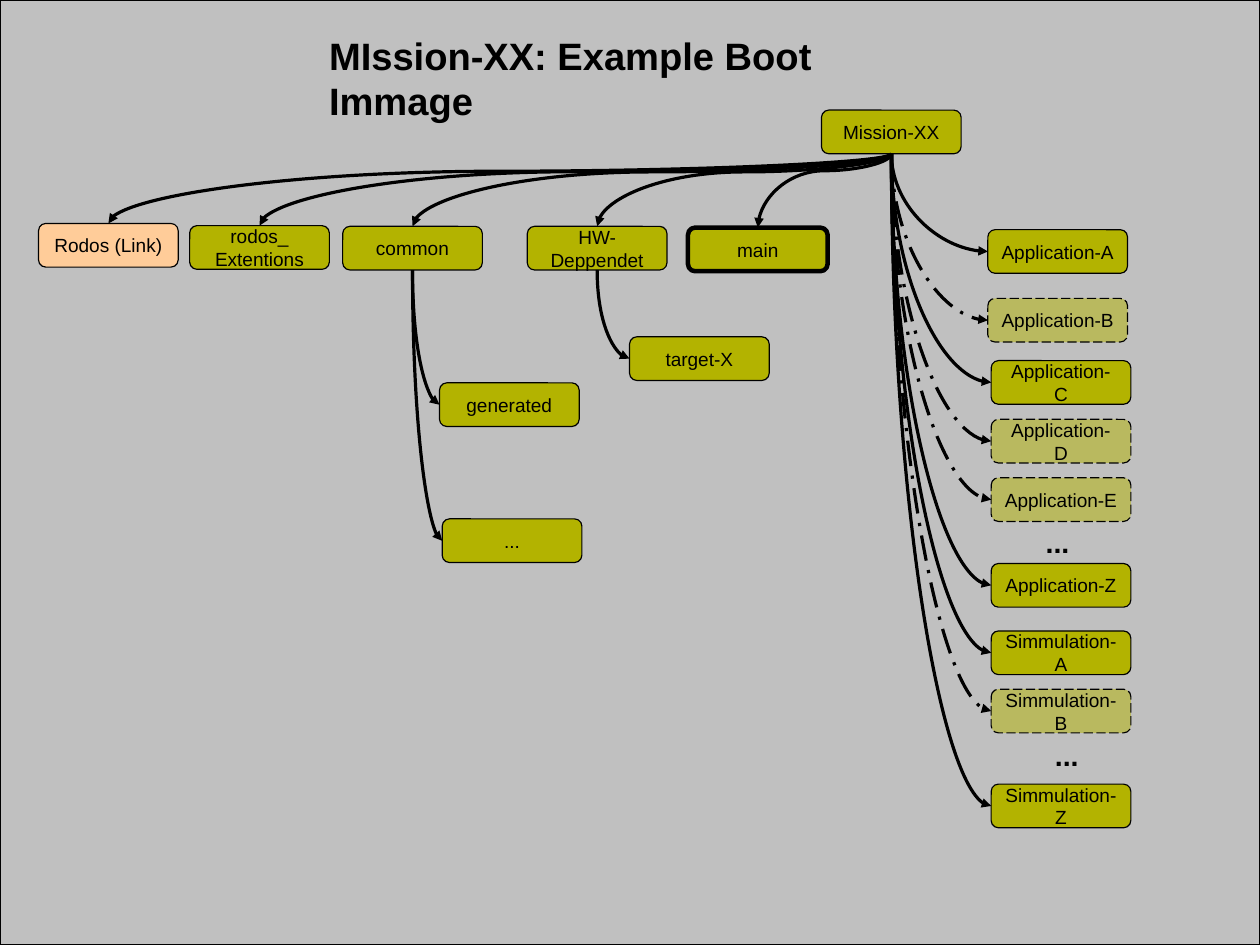
from dataclasses import dataclass
from typing import Optional

from lxml import etree
from pptx import Presentation
from pptx.dml.color import RGBColor
from pptx.enum.dml import MSO_LINE
from pptx.enum.shapes import MSO_CONNECTOR, MSO_SHAPE
from pptx.enum.text import MSO_ANCHOR, MSO_AUTO_SIZE, PP_ALIGN
from pptx.oxml.ns import qn
from pptx.util import Pt

RECTANGLE, ROUNDED = MSO_SHAPE.RECTANGLE, MSO_SHAPE.ROUNDED_RECTANGLE
CURVE = MSO_CONNECTOR.CURVE
BOX_DASH, LINK_DASH = MSO_LINE.LONG_DASH, MSO_LINE.LONG_DASH_DOT
MIDDLE, CENTER = MSO_ANCHOR.MIDDLE, PP_ALIGN.CENTER
FIT_SHAPE = MSO_AUTO_SIZE.SHAPE_TO_FIT_TEXT

BLACK = RGBColor(0x00, 0x00, 0x00)
GRAY = RGBColor(0xC0, 0xC0, 0xC0)
OLIVE = RGBColor(0xB3, 0xB3, 0x00)
PEACH = RGBColor(0xFF, 0xCC, 0x99)

FONT = "Arial"
SLIDE_W, SLIDE_H = 793.7, 595.3
BOX_W, BOX_H = 88, 27.5
INSET_X, INSET_Y = 7.2, 3.6


@dataclass(frozen=True)
class Node:
    left: float
    top: float
    label: str
    parent: Optional["Node"] = None
    from_above: bool = False
    optional: bool = False
    fill: RGBColor = OLIVE
    border: float = 0
    bend: float = 0.25

    @property
    def bottom_point(self) -> tuple[float, float]:
        return self.left + BOX_W / 2, self.top + BOX_H

    @property
    def entry_point(self) -> tuple[float, float]:
        if self.from_above:
            return self.left + BOX_W / 2, self.top
        return self.left, self.top + BOX_H / 2


@dataclass(frozen=True)
class Caption:
    left: float
    top: float
    width: float
    height: float
    words: str
    size: float


MISSION = Node(517.5, 69.4, "Mission-XX")
COMMON = Node(215.9, 142.6, "common", MISSION, from_above=True)
HARDWARE = Node(332.2, 142.6, "HW-Deppendet", MISSION, from_above=True)

NODES = [
    MISSION,
    Node(24.3, 140.8, "Rodos (Link)", MISSION, from_above=True, fill=PEACH),
    Node(119.5, 142.2, "rodos_\nExtentions", MISSION, from_above=True),
    COMMON,
    HARDWARE,
    Node(433.4, 143.4, "main", MISSION, from_above=True, border=2.83, bend=0.23),
    Node(276.9, 241.2, "generated", COMMON),
    Node(278.6, 326.9, "...", COMMON),
    Node(396.6, 212.2, "target-X", HARDWARE),
    Node(622.3, 144.7, "Application-A", MISSION),
    Node(622.3, 188, "Application-B", MISSION, optional=True),
    Node(624.4, 227.2, "Application-C", MISSION),
    Node(624.4, 264.2, "Application-D", MISSION, optional=True),
    Node(624.4, 301, "Application-E", MISSION, optional=True),
    Node(624.4, 355, "Application-Z", MISSION),
    Node(624.4, 397.5, "Simmulation-A", MISSION),
    Node(624.4, 434.2, "Simmulation-B", MISSION, optional=True),
    Node(624.4, 494, "Simmulation-Z", MISSION),
]

CAPTIONS = [
    Caption(200.2, 16.6, 415.4, 33.8, "MIssion-XX: Example Boot Immage", 24),
    Caption(651.6, 326.9, 29.5, 27.4, "...", 18),
    Caption(657.4, 461.5, 29.5, 27.4, "...", 18),
]


def set_insets(frame, extra: float = 0) -> None:
    frame.margin_left = frame.margin_right = Pt(INSET_X + extra)
    frame.margin_top = frame.margin_bottom = Pt(INSET_Y + extra)


def add_words(para, words: str, size: float, bold: bool = False) -> None:
    for index, line in enumerate(words.split("\n")):
        if index:
            para.add_line_break()
        span = para.add_run()
        span.text = line
        span.font.name = FONT
        span.font.size = Pt(size)
        span.font.bold = bold
        span.font.color.rgb = BLACK


def add_block(page, kind, left: float, top: float, width: float, height: float,
              fill: RGBColor, border: float = 0):
    block = page.shapes.add_shape(kind, Pt(left), Pt(top), Pt(width), Pt(height))
    block.shadow.inherit = False
    block.fill.solid()
    block.fill.fore_color.rgb = fill
    block.line.color.rgb = BLACK
    block.line.width = Pt(border)
    return block


def draw_node(page, node: Node) -> None:
    box = add_block(page, ROUNDED, node.left, node.top, BOX_W, BOX_H,
                    node.fill, node.border)
    box.adjustments[0] = 0.167
    if node.optional:
        box.line.dash_style = BOX_DASH
        color = box._element.spPr.find(qn("a:solidFill")).find(qn("a:srgbClr"))
        etree.SubElement(color, qn("a:alpha"), val="50000")
    frame = box.text_frame
    frame.word_wrap = True
    frame.vertical_anchor = MIDDLE
    set_insets(frame, node.border / 2)
    para = frame.paragraphs[0]
    para.alignment = CENTER
    add_words(para, node.label, 12)


def draw_link(page, node: Node) -> None:
    start_x, start_y = node.parent.bottom_point
    end_x, end_y = node.entry_point
    # The curve is laid out sideways, then turned about its centre
    width, height = end_y - start_y, abs(end_x - start_x)
    left = (start_x + end_x - width) / 2
    top = (start_y + end_y - height) / 2
    link = page.shapes.add_connector(CURVE, Pt(left), Pt(top),
                                     Pt(left + width), Pt(top + height))
    link.line.color.rgb = BLACK
    link.line.width = Pt(0)
    if node.optional:
        link.line.dash_style = LINK_DASH
    props = link._element.spPr
    frame = props.find(qn("a:xfrm"))
    shape = props.find(qn("a:prstGeom"))
    if node.from_above:
        frame.set("rot", str(90 * 60000))
        guides = shape.find(qn("a:avLst"))
        etree.SubElement(guides, qn("a:gd"), name="adj1",
                         fmla=f"val {round(node.bend * 100000)}")
    else:
        frame.set("rot", str(270 * 60000))
        frame.set("flipH", "1")
        shape.set("prst", "curvedConnector2")
    etree.SubElement(props.find(qn("a:ln")), qn("a:tailEnd"), type="triangle")
    etree.SubElement(props, qn("a:effectLst"))


def draw_caption(page, caption: Caption) -> None:
    box = page.shapes.add_textbox(Pt(caption.left), Pt(caption.top),
                                  Pt(caption.width), Pt(caption.height))
    frame = box.text_frame
    frame.word_wrap = False
    frame.auto_size = FIT_SHAPE
    set_insets(frame)
    add_words(frame.paragraphs[0], caption.words, caption.size, bold=True)


def main() -> None:
    deck = Presentation()
    deck.slide_width, deck.slide_height = Pt(SLIDE_W), Pt(SLIDE_H)
    page = deck.slides.add_slide(deck.slide_layouts[6])

    # Gray backdrop with a hairline border
    add_block(page, RECTANGLE, 0, 0, SLIDE_W, SLIDE_H, GRAY)

    # Directory tree
    for node in NODES:
        draw_node(page, node)
    for node in NODES:
        if node.parent:
            draw_link(page, node)

    # Title and ellipses
    for caption in CAPTIONS:
        draw_caption(page, caption)

    deck.save("out.pptx")


if __name__ == "__main__":
    main()
